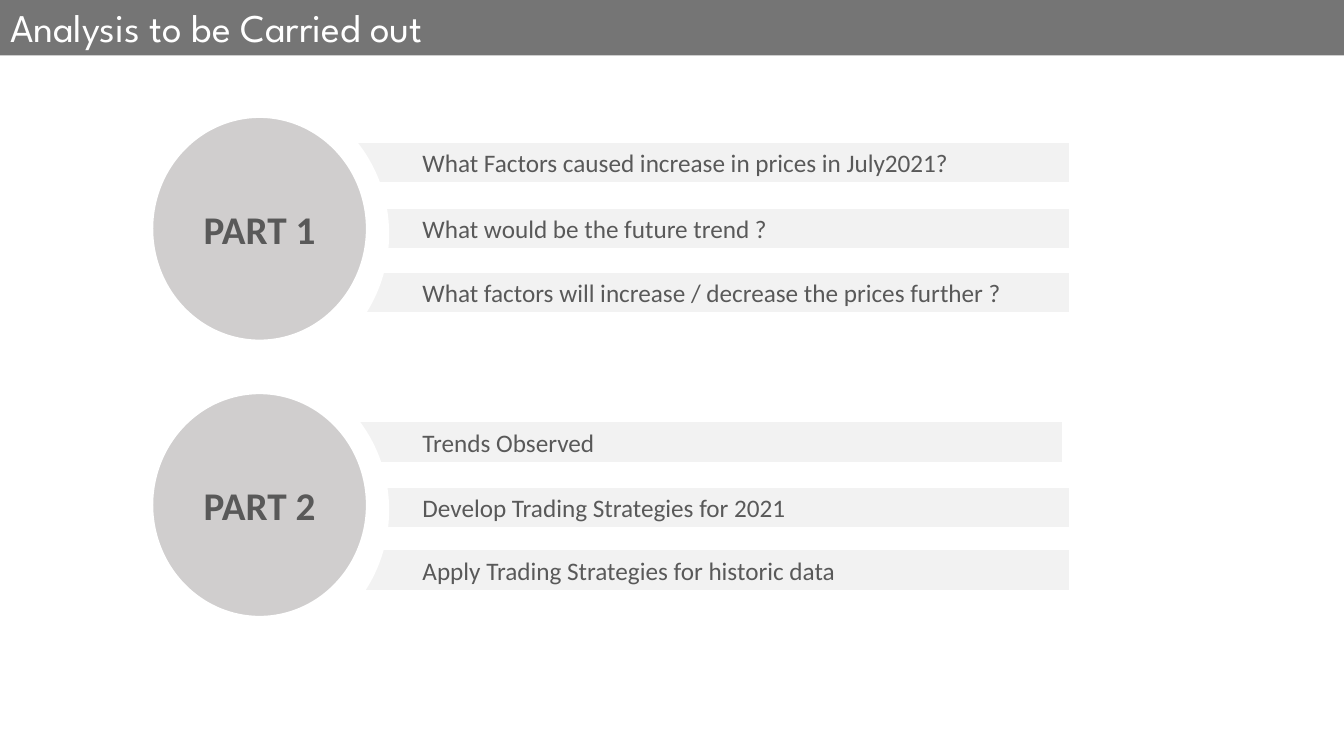
from pptx import Presentation
from pptx.dml.color import RGBColor as Rgb
from pptx.enum.shapes import MSO_SHAPE as Shape
from pptx.enum.text import MSO_ANCHOR as Anchor, MSO_AUTO_SIZE as AutoSize, PP_ALIGN as Align
from pptx.util import Inches, Pt

THEME = {
    "banner": Rgb(0x75, 0x75, 0x75),
    "bar": Rgb(0xF2, 0xF2, 0xF2),
    "disc": Rgb(0xD0, 0xCE, 0xCE),
    "white": Rgb(0xFF, 0xFF, 0xFF),
    "ink": Rgb(0x59, 0x59, 0x59),
    "title_font": "League Spartan",
    "body_font": "Calibri",
    "large": Pt(28),
    "small": Pt(18),
    "outline": Pt(1.5),
}

# Each part: label, top of its halo, and its questions as (left, top, text)
PARTS = [
    ("PART 1", 0.89, [
        (2.86, 1.41, "What Factors caused increase in prices in July2021?"),
        (2.86, 2.06, "What would be the future trend ?"),
        (2.86, 2.7, "What factors will increase / decrease the prices further ?"),
    ]),
    ("PART 2", 3.63, [
        (2.79, 4.18, "Trends Observed"),
        (2.86, 4.83, "Develop Trading Strategies for 2021"),
        (2.86, 5.45, "Apply Trading Strategies for historic data"),
    ]),
]
TEXT_LEFT = 4.19
DISC_DROP = 0.27


def add_block(kind, left, top, width, height, fill, outlined=True):
    block = slide.shapes.add_shape(
        kind, Inches(left), Inches(top), Inches(width), Inches(height))
    block.shadow.inherit = False
    block.fill.solid()
    block.fill.fore_color.rgb = fill
    if outlined:
        block.line.color.rgb = THEME["white"]
        block.line.width = THEME["outline"]
    else:
        block.line.fill.background()
    return block


def write(block, text, font, size, color, align, anchor=Anchor.MIDDLE, bold=False):
    frame = block.text_frame
    frame.word_wrap = True
    frame.auto_size = AutoSize.NONE
    frame.vertical_anchor = anchor
    line = frame.paragraphs[0]
    line.alignment = align
    run = line.add_run()
    run.text = text
    run.font.name = font
    run.font.size = size
    run.font.bold = bold
    run.font.color.rgb = color


deck = Presentation()
deck.slide_width, deck.slide_height = Inches(13.33), Inches(7.5)
slide = deck.slides.add_slide(deck.slide_layouts[5])

# Title banner
banner = slide.shapes.title
banner.left, banner.top = 0, Inches(-0.02)
banner.width, banner.height = deck.slide_width, Inches(0.57)
banner.fill.solid()
banner.fill.fore_color.rgb = THEME["banner"]
write(banner, "Analysis to be Carried out", THEME["title_font"], THEME["large"],
      THEME["white"], Align.LEFT, Anchor.TOP)

for label, halo_top, questions in PARTS:
    # Question bars
    for left, top, question in questions:
        bar = add_block(Shape.RECTANGLE, left, top, 7.75, 0.41, THEME["bar"])
        bar.text_frame.margin_left = Inches(TEXT_LEFT - left)
        write(bar, question, THEME["body_font"], THEME["small"], THEME["ink"], Align.LEFT)

    # White halo cutting the bars, then the labelled disc
    add_block(Shape.OVAL, 1.1, halo_top, 2.76, 2.86, THEME["white"], outlined=False)
    disc = add_block(Shape.OVAL, 1.51, halo_top + DISC_DROP, 2.13, 2.22, THEME["disc"])
    write(disc, label, THEME["body_font"], THEME["large"], THEME["ink"],
          Align.CENTER, bold=True)

deck.save("out.pptx")
